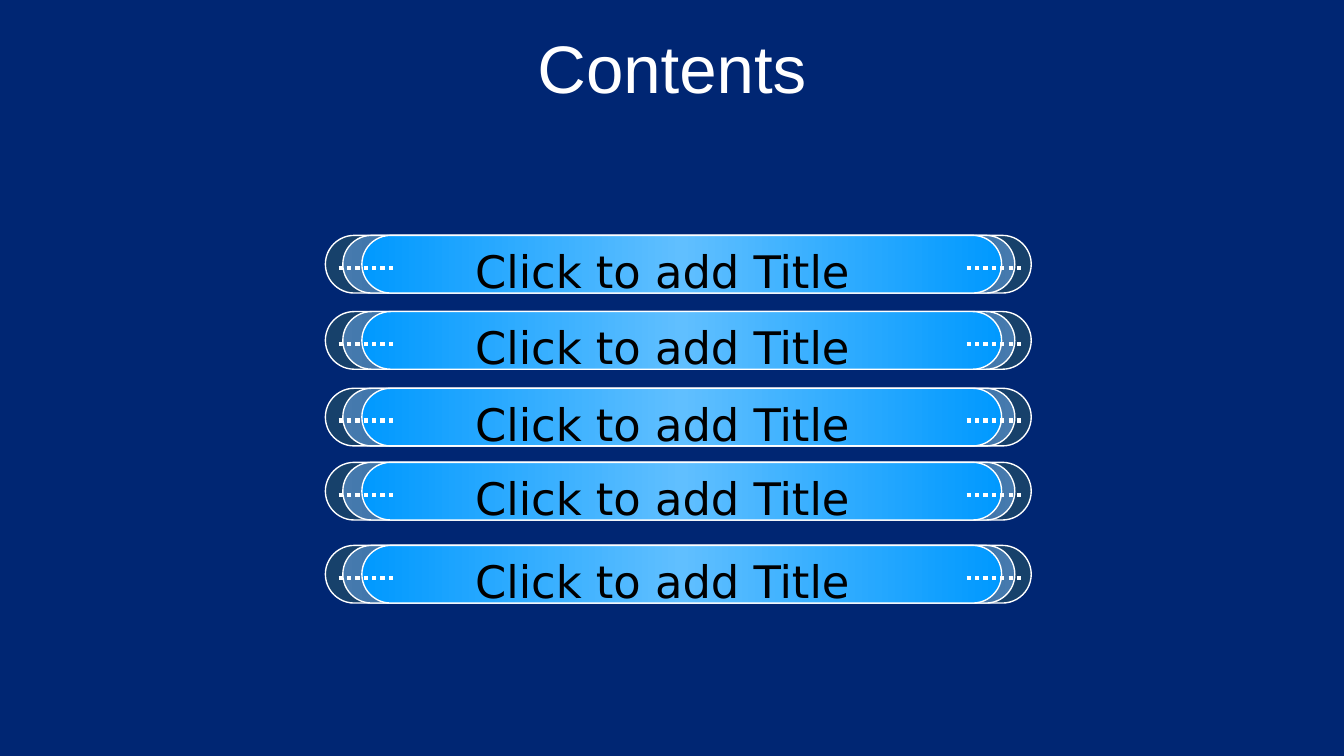
from copy import deepcopy

from pptx import Presentation
from pptx import util as u
from pptx.dml.color import RGBColor
from pptx.enum import dml, shapes, text
from pptx.oxml.ns import qn
from pptx.oxml.xmlchemy import OxmlElement

WHITE = "FFFFFF"
# Capsule layers, back to front: inset, width (cm), edge colour, middle colour
LAYERS = [
    (0, 13.34, "17416B", "002E5C"),
    (0.33, 12.7, "467AAE", "004890"),
    (0.69, 12.09, "0099FF", "60BFFF"),
]
ROW_LEFT, ROW_HEIGHT = 6.15, 1.09
ROW_TOPS = [4.45, 5.89, 7.34, 8.74, 10.31]
TITLE_FORMAT = {"size": u.Pt(36), "name": "Arial"}
LABEL_FORMAT = {"size": u.Pt(24), "name": "DejaVu Sans"}


def colour(value):
    return RGBColor.from_string(value)


def cm(*lengths):
    return [u.Cm(length) for length in lengths]


def set_line(line, width, dash=None):
    line.color.rgb = colour(WHITE)
    line.width = u.Pt(width)
    if dash:
        line.dash_style = dash


def add_text(parent, box, words, font_format, font_colour, anchor, wrap):
    frame = parent.add_textbox(*cm(*box)).text_frame
    frame.vertical_anchor = anchor
    frame.word_wrap = wrap
    para = frame.paragraphs[0]
    para.alignment = text.PP_ALIGN.CENTER
    span = para.add_run()
    span.text = words
    for name, value in font_format.items():
        setattr(span.font, name, value)
    span.font.color.rgb = colour(font_colour)
    return frame


def add_capsule(parent, box, edge, middle):
    capsule = parent.add_shape(shapes.MSO_SHAPE.ROUNDED_RECTANGLE, *cm(*box))
    capsule.adjustments[0] = 0.5
    capsule.shadow.inherit = False
    set_line(capsule.line, 0.75)
    # Three-stop horizontal gradient
    capsule.fill.gradient()
    capsule.fill.gradient_angle = 0
    stop_list = capsule._element.spPr.find(".//" + qn("a:gsLst"))
    stop_list.append(deepcopy(stop_list[0]))
    stops = zip(capsule.fill.gradient_stops, (0, 0.5, 1), (edge, middle, edge))
    for stop, position, value in stops:
        stop.position = position
        stop.color.rgb = colour(value)


def add_dots(parent, left, top, length):
    dots = parent.add_connector(
        shapes.MSO_CONNECTOR.STRAIGHT, *cm(left, top, left + length, top))
    set_line(dots.line, 2.25, dml.MSO_LINE.ROUND_DOT)
    dots._element.spPr.append(OxmlElement("a:effectLst"))


def add_contents_row(page, left, top, height, words):
    parent = page.shapes.add_group_shape().shapes
    for inset, width, edge, middle in LAYERS:
        add_capsule(parent, (left + inset, top, width, height), edge, middle)
    # Dotted lines at both ends
    for offset in (0.25, 12.12):
        add_dots(parent, left + offset, top + 0.61, 1.08)
    # Label
    frame = add_text(parent, (left + 2.51, top + 0.03, 7.72, 1.3), words,
                     LABEL_FORMAT, "000000", text.MSO_ANCHOR.TOP, False)
    frame.auto_size = text.MSO_AUTO_SIZE.SHAPE_TO_FIT_TEXT


def main():
    deck = Presentation()
    deck.slide_width, deck.slide_height = cm(25.4, 14.29)
    page = deck.slides.add_slide(deck.slide_layouts[6])
    page.background.fill.solid()
    page.background.fill.fore_color.rgb = colour("002673")

    # Title
    add_text(page.shapes, (0, 0.48, 25.4, 1.57), "Contents",
             TITLE_FORMAT, WHITE, text.MSO_ANCHOR.MIDDLE, True)
    # Contents list
    for top in ROW_TOPS:
        add_contents_row(page, ROW_LEFT, top, ROW_HEIGHT, "Click to add Title")
    deck.save("out.pptx")


if __name__ == "__main__":
    main()
